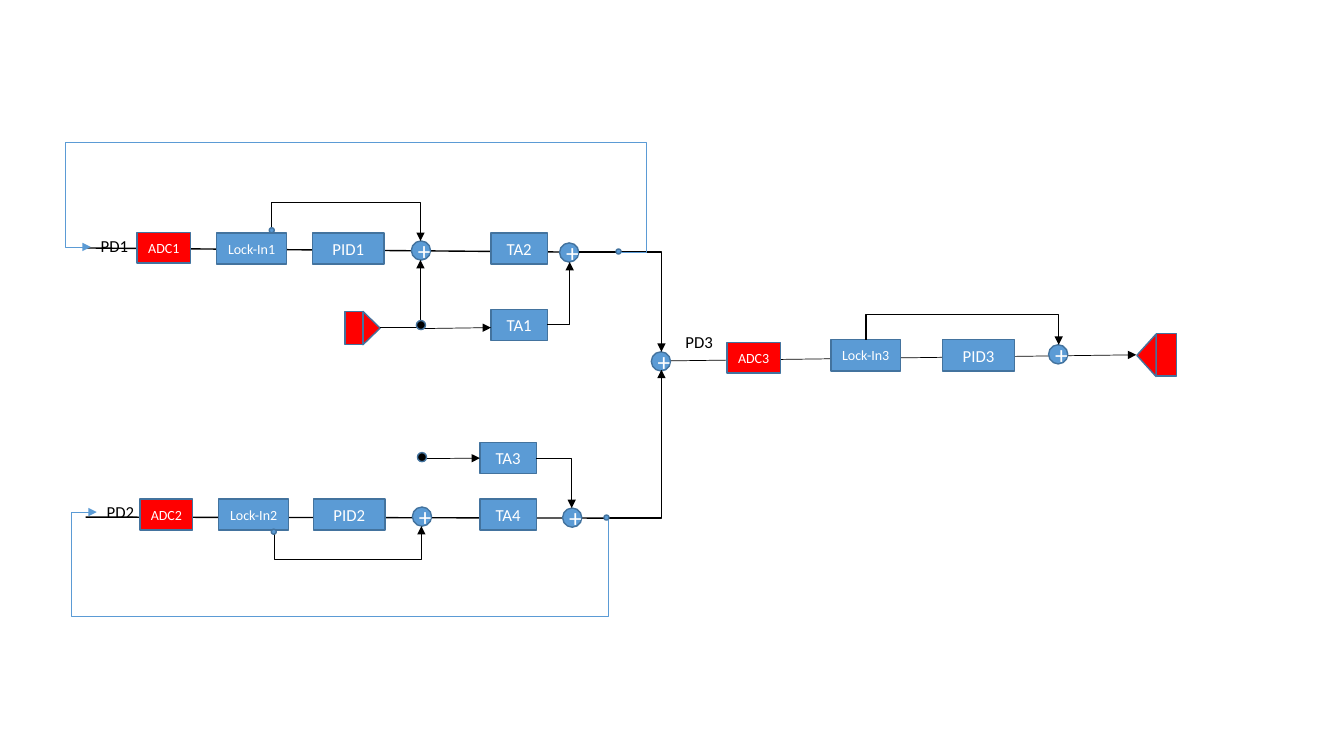
from dataclasses import dataclass

from lxml import etree
from pptx import Presentation
from pptx.dml.color import RGBColor
from pptx.enum.shapes import MSO_CONNECTOR, MSO_SHAPE
from pptx.enum.text import MSO_ANCHOR, MSO_AUTO_SIZE, PP_ALIGN
from pptx.oxml.ns import qn
from pptx.util import Inches, Pt

RECTANGLE = MSO_SHAPE.RECTANGLE
OVAL = MSO_SHAPE.OVAL
TRIANGLE = MSO_SHAPE.ISOSCELES_TRIANGLE
STRAIGHT = MSO_CONNECTOR.STRAIGHT
ELBOW = MSO_CONNECTOR.ELBOW
MIDDLE = MSO_ANCHOR.MIDDLE
CENTER = PP_ALIGN.CENTER
FIT_TEXT = MSO_AUTO_SIZE.SHAPE_TO_FIT_TEXT
LEFT_SIDE = 1

Point = tuple[float, float]


@dataclass(frozen=True)
class Theme:
    font: str = "Calibri"
    blue: str = "5B9BD5"
    outline: str = "43739E"
    red: str = "FF0000"
    black: str = "000000"
    white: str = "FFFFFF"
    small: float = 10
    normal: float = 12
    plus: float = 18
    thin: float = 0.5
    medium: float = 1


THEME = Theme()


@dataclass(frozen=True)
class Box:
    text: str
    left: float
    top: float
    width: float
    height: float = 0.31
    fill: str = THEME.blue
    size: float = THEME.normal


@dataclass(frozen=True)
class Wire:
    """A straight line for two points, an elbow with right angles for more."""
    points: tuple[Point, ...]
    width: float = THEME.medium
    color: str = THEME.black
    arrow: bool = True


@dataclass(frozen=True)
class Terminal:
    body: tuple[float, float, float, float]
    tip: tuple[float, float, float, float]
    rotation: float


TRUNKS = [
    Wire(((6.65, 3.58), (11.27, 3.52)), THEME.thin),
    Wire(((0.85, 5.13), (5.99, 5.14)), arrow=False),
    Wire(((0.83, 2.46), (5.55, 2.5)), arrow=False),
]
BOXES = [
    Box("ADC1", 1.36, 2.31, 0.53, 0.3, THEME.red, THEME.small),
    Box("Lock-In1", 2.15, 2.31, 0.69, size=THEME.small),
    Box("PID1", 3.1, 2.31, 0.71),
    Box("TA2", 4.87, 2.31, 0.56),
    Box("TA1", 4.87, 3.07, 0.56),
    Box("ADC2", 1.39, 4.95, 0.52, 0.31, THEME.red, THEME.small),
    Box("Lock-In2", 2.17, 4.95, 0.69, size=THEME.small),
    Box("PID2", 3.11, 4.95, 0.71),
    Box("TA4", 4.76, 4.95, 0.56),
    Box("TA3", 4.76, 4.39, 0.56),
    Box("ADC3", 7.21, 3.4, 0.53, 0.3, THEME.red, THEME.small),
    Box("Lock-In3", 8.24, 3.37, 0.69, size=THEME.small),
    Box("PID3", 9.35, 3.37, 0.71),
]
ADDERS = [(4.08, 2.39), (5.55, 2.41), (5.58, 5.04), (4.09, 5.03), (10.4, 3.42), (6.46, 3.49)]
LABELS = [("PD1", 0.9, 2.29), ("PD2", 0.96, 4.93), ("PD3", 6.7, 3.24)]
TERMINALS = [
    Terminal((11.47, 3.31, 0.2, 0.42), (11.16, 3.43, 0.42, 0.19), 270),
    Terminal((3.42, 3.09, 0.18, 0.33), (3.52, 3.17, 0.33, 0.17), 90),
]
SIGNALS = [
    Wire(((2.69, 2.26), (2.69, 2.01), (4.17, 2.01), (4.17, 2.39))),
    Wire(((2.72, 5.3), (2.72, 5.55), (4.18, 5.55), (4.18, 5.22))),
    Wire(((8.59, 3.37), (8.59, 3.12), (10.5, 3.12), (10.5, 3.42))),
    Wire(((5.74, 2.5), (6.56, 2.5), (6.56, 3.49))),
    Wire(((6.04, 5.14), (6.56, 5.14), (6.56, 3.67))),
    Wire(((5.32, 4.55), (5.67, 4.55), (5.67, 5.04))),
    Wire(((5.43, 3.22), (5.65, 3.22), (5.65, 2.6))),
    Wire(((3.77, 3.25), (4.17, 3.25), (4.17, 2.58)), THEME.thin),
    Wire(((4.17, 3.26), (4.87, 3.25)), THEME.thin),
]
TA3_INPUT = Wire(((4.18, 4.55), (4.76, 4.55)), THEME.thin)
FEEDBACKS = [
    Wire(((6.16, 2.5), (6.41, 2.5), (6.41, 1.41), (0.65, 1.41), (0.65, 2.45), (0.9, 2.45)),
         THEME.thin, THEME.blue),
    Wire(((6.03, 5.16), (6.03, 6.12), (0.71, 6.12), (0.71, 5.08), (0.96, 5.08)),
         THEME.thin, THEME.blue),
]
TAPS = [(2.67, 2.26), (6.11, 2.47), (5.99, 5.11), (2.69, 5.25)]
SOURCE_DOTS = [(4.13, 3.18), (4.14, 4.49)]


def add_run(paragraph, text: str, size: float, color: str) -> None:
    run = paragraph.add_run()
    run.text = text
    run.font.name = THEME.font
    run.font.size = Pt(size)
    run.font.color.rgb = RGBColor.from_string(color)


def add_block(shapes, kind, box: Box):
    shape = shapes.add_shape(kind, *map(Inches, (box.left, box.top, box.width, box.height)))
    shape.shadow.inherit = False
    shape.fill.solid()
    shape.fill.fore_color.rgb = RGBColor.from_string(box.fill)
    shape.line.color.rgb = RGBColor.from_string(THEME.outline)
    shape.line.width = Pt(THEME.medium)
    if box.text:
        shape.text_frame.vertical_anchor = MIDDLE
        paragraph = shape.text_frame.paragraphs[0]
        paragraph.alignment = CENTER
        add_run(paragraph, box.text, box.size, THEME.white)
    return shape


def add_label(shapes, text: str, left: float, top: float) -> None:
    label = shapes.add_textbox(*map(Inches, (left, top, 0.48, 0.3)))
    label.text_frame.word_wrap = False
    label.text_frame.auto_size = FIT_TEXT
    add_run(label.text_frame.paragraphs[0], text, THEME.normal, THEME.black)


def add_terminal(shapes, terminal: Terminal) -> None:
    group = shapes.add_group_shape()
    tip = add_block(group.shapes, TRIANGLE, Box("", *terminal.tip, fill=THEME.red))
    tip.rotation = terminal.rotation
    add_block(group.shapes, RECTANGLE, Box("", *terminal.body, fill=THEME.red))


def add_elbow(shapes, points: tuple[Point, ...]):
    """Turn the route into the connector's own frame, where it sets off sideways."""
    (x1, y1), (x2, y2) = points[0], points[-1]
    upright = points[0][0] == points[1][0]
    rotation = (90 if y2 < y1 else 270) if upright else 0
    sign = 1 if rotation == 90 else -1

    def local(point: Point) -> Point:
        dx, dy = point[0] - x1, point[1] - y1
        return (sign * dy, -sign * dx) if upright else (dx, dy)

    span = local(points[-1])
    center = (x1 + x2) / 2, (y1 + y2) / 2
    begin = [Inches(c - s / 2) for c, s in zip(center, span)]
    end = [Inches(c + s / 2) for c, s in zip(center, span)]
    connector = shapes.add_connector(ELBOW, *begin, *end)
    properties = connector._element.spPr
    properties.find(qn("a:xfrm")).set("rot", str(rotation * 60000))
    geometry = properties.find(qn("a:prstGeom"))
    geometry.set("prst", f"bentConnector{len(points) - 1}")
    guides = geometry.find(qn("a:avLst"))
    bends = points[1:-2]
    for index, bend in enumerate(bends):
        axis = index % 2
        share = round(local(bend)[axis] / span[axis] * 100000)
        name = f"adj{index + 1}" if len(bends) > 1 else "adj1"
        etree.SubElement(guides, qn("a:gd"), name=name, fmla=f"val {share}")
    return connector


def add_wire(shapes, wire: Wire):
    if len(wire.points) == 2:
        ends = [Inches(value) for point in wire.points for value in point]
        connector = shapes.add_connector(STRAIGHT, *ends)
    else:
        connector = add_elbow(shapes, wire.points)
    connector.line.color.rgb = RGBColor.from_string(wire.color)
    connector.line.width = Pt(wire.width)
    if wire.arrow:
        etree.SubElement(connector.line._get_or_add_ln(), qn("a:tailEnd"), type="triangle")
    etree.SubElement(connector._element.spPr, qn("a:effectLst"))
    return connector


def main() -> None:
    presentation = Presentation()
    presentation.slide_width, presentation.slide_height = Inches(13.33), Inches(7.5)
    slide = presentation.slides.add_slide(presentation.slide_layouts[6])
    shapes = slide.shapes

    # Main signal lines behind the blocks
    for wire in TRUNKS:
        add_wire(shapes, wire)
    # Blocks, adders, detector labels and terminals
    blocks = {box.text: add_block(shapes, RECTANGLE, box) for box in BOXES}
    for left, top in ADDERS:
        add_block(shapes, OVAL, Box("+", left, top, 0.19, 0.19, size=THEME.plus))
    for text, left, top in LABELS:
        add_label(shapes, text, left, top)
    for terminal in TERMINALS:
        add_terminal(shapes, terminal)
    # Signal arrows
    for wire in SIGNALS:
        add_wire(shapes, wire)
    add_wire(shapes, TA3_INPUT).end_connect(blocks["TA3"], LEFT_SIDE)
    # Junction dots
    for dots, size, fill in ((TAPS, 0.05, THEME.blue), (SOURCE_DOTS, 0.09, THEME.black)):
        for left, top in dots:
            add_block(shapes, OVAL, Box("", left, top, size, size, fill))
    # Feedback loops
    for wire in FEEDBACKS:
        add_wire(shapes, wire)
    presentation.save("out.pptx")


if __name__ == "__main__":
    main()
